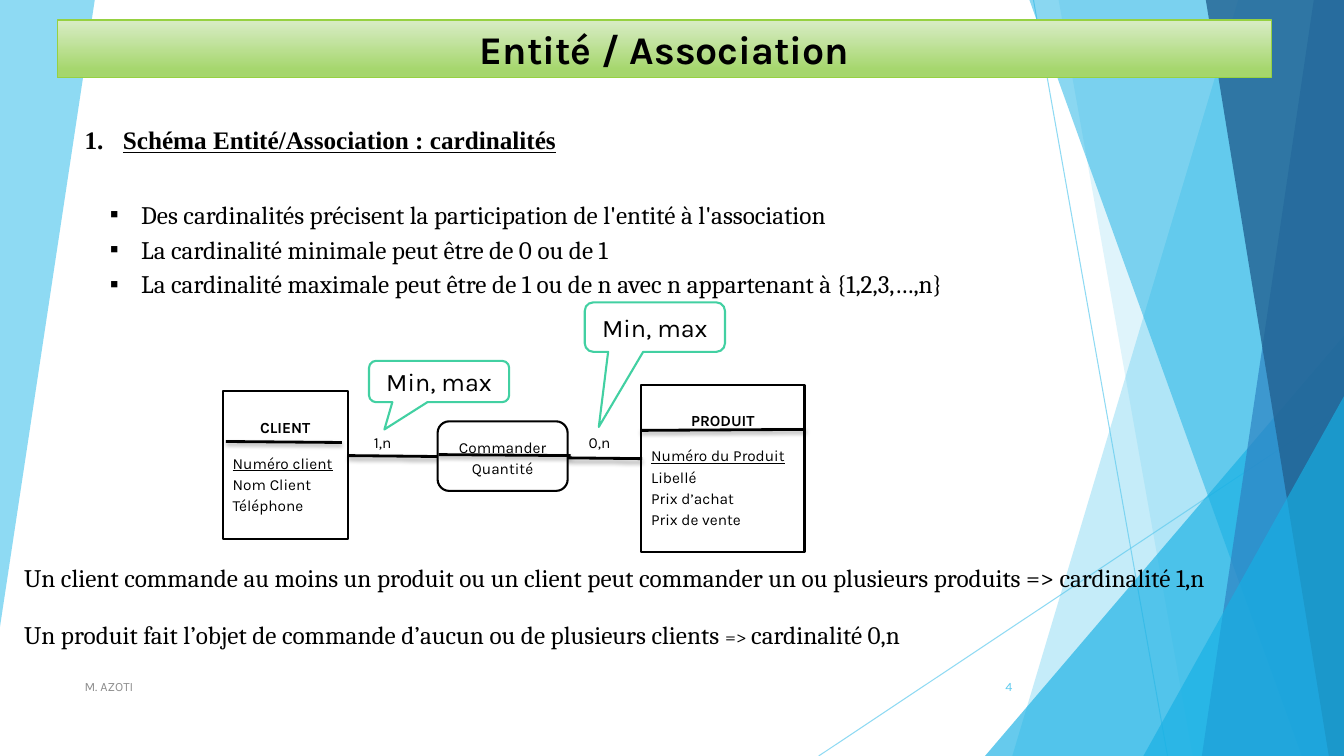
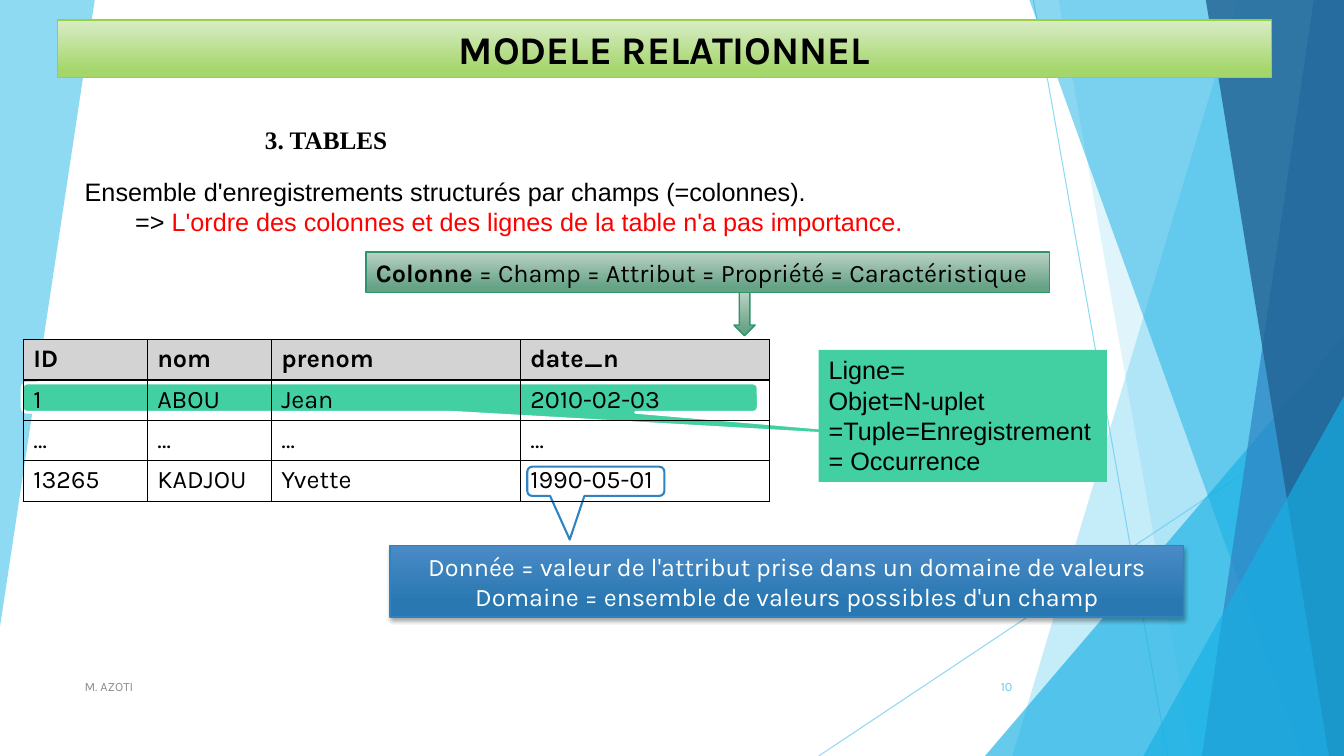
from lxml import etree
from pptx import Presentation
from pptx import util as u
from pptx.dml.color import RGBColor
from pptx.enum import shapes as es, text as et
from pptx.oxml.ns import qn

HUES = {
    "ink": "000000", "white": "FFFFFF", "red": "FF0000", "grey": "8C8C8C",
    "head": "D3D3D3", "sky": "5FCBEF", "cyan": "17B0E4", "blue": "2E83C3",
    "navy": "226292", "mint": "42D0A2", "lime": "96D141", "pine": "2E946B",
}
LIME = ("D8ECC5", "A5D66C", 0.88)
PINE = ("BAD1C4", "65A385", 0.88)
BLUE = ("4A8BC6", "2A78B2", 0.78)
WIDE, HIGH = 13.33, 7.5
KIND = es.MSO_SHAPE
LEFT, MID, RIGHT, JUST = (et.PP_ALIGN.LEFT, et.PP_ALIGN.CENTER,
                          et.PP_ALIGN.RIGHT, et.PP_ALIGN.JUSTIFY)


def rgb(hue):
    """Return the colour for a name or a hex string."""
    return RGBColor.from_string(HUES.get(hue, hue))


def inch(*nums):
    """Turn numbers into lengths."""
    return [u.Inches(n) for n in nums]


def node(top, tag, **atts):
    """Add an XML child with attributes."""
    return etree.SubElement(top, qn(tag), {k: str(v) for k, v in atts.items()})


def fade(item, part):
    """Make the only colour of a shape or line partly clear."""
    tint = item.element.spPr.find(".//" + qn("a:srgbClr"))
    node(tint, "a:alpha", val=part * 1000)


def shade(effect):
    """Put a soft drop shadow in an effect list."""
    drop = node(effect, "a:outerShdw", blurRad=u.Pt(3), dist=u.Pt(2),
                dir=5400000, rotWithShape=0)
    tint = node(drop, "a:srgbClr", val=HUES["ink"])
    node(tint, "a:alpha", val=35000)


def paint(item, fill=None, line=None, width=1):
    """Set fill (name or gradient) and outline, without a shadow."""
    if hasattr(item, "shadow"):
        item.shadow.inherit = False
    if isinstance(fill, tuple):
        item.fill.gradient()
        item.fill.gradient_angle = 270
        for stop, hue, pos in zip(item.fill.gradient_stops, fill, (0, fill[2])):
            stop.color.rgb, stop.position = rgb(hue), pos
    elif fill:
        item.fill.solid()
        item.fill.fore_color.rgb = rgb(fill)
    if line:
        item.line.color.rgb, item.line.width = rgb(line), u.Pt(width)
    else:
        item.line.fill.background()


def write(frame, rows, size=18, font="Karla", hue="ink", bold=False,
          align=LEFT, space=1.0, after=0, mid=False):
    """Fill a text frame; a row lists runs, each a string or (string, changes)."""
    frame.word_wrap = True
    frame.auto_size = et.MSO_AUTO_SIZE.NONE
    frame.vertical_anchor = et.MSO_ANCHOR.MIDDLE if mid else et.MSO_ANCHOR.TOP
    for i, row in enumerate(rows):
        para = frame.add_paragraph() if i else frame.paragraphs[0]
        para.alignment, para.line_spacing = align, space
        para.space_before, para.space_after = u.Pt(0), u.Pt(after)
        for part in row:
            word, diff = (part, {}) if isinstance(part, str) else part
            run = para.add_run()
            run.text = word
            run.font.name = font
            run.font.size = u.Pt(diff.get("size", size))
            run.font.bold = diff.get("bold", bold)
            run.font.underline = diff.get("line", False)
            run.font.color.rgb = rgb(diff.get("hue", hue))


def mark(para, tag, edge=0, hang=0, **atts):
    """Set the bullet and the indent of a paragraph."""
    props = para._p.get_or_add_pPr()
    props.set("marL", str(u.Inches(edge)))
    props.set("indent", str(u.Inches(-hang)))
    node(props, tag, **atts)


def label(slide, box, rows, **look):
    """Add a text box."""
    item = slide.shapes.add_textbox(*inch(*box))
    write(item.text_frame, rows, **look)
    return item


def block(slide, kind, box, fill, line=None, width=1, adj=()):
    """Add a preset shape."""
    item = slide.shapes.add_shape(kind, *inch(*box))
    for i, val in enumerate(adj):
        item.adjustments[i] = val
    paint(item, fill, line, width)
    return item


def rule(slide, ends, hue="ink", width=2.0, soft=True):
    """Add a straight line, with a drop shadow if soft."""
    item = slide.shapes.add_connector(es.MSO_CONNECTOR.STRAIGHT, *inch(*ends))
    item.line.color.rgb, item.line.width = rgb(hue), u.Pt(width)
    effect = node(item.element.spPr, "a:effectLst")
    if soft:
        shade(effect)
    return item


def facet(slide, dots, hue, part):
    """Add a clear polygon."""
    dots = [inch(*dot) for dot in dots]
    form = slide.shapes.build_freeform(*dots[0])
    form.add_line_segments(dots[1:], close=True)
    item = form.convert_to_shape()
    paint(item, hue)
    fade(item, part)


def band(slide, top, low, hue, part):
    """Add a facet from a slanted edge to the right side."""
    facet(slide, [(top, 0), (WIDE, 0), (WIDE, HIGH), (low, HIGH)], hue, part)


def peak(slide, left, top):
    """Add a right triangle in the lower right corner."""
    box = (left, top, WIDE - left, HIGH - top)
    fade(block(slide, KIND.ISOSCELES_TRIANGLE, box, "cyan", adj=[1]), 66)


def decor(slide, layout):
    """Draw the facets and move them to the layout."""
    facet(slide, [(0, 0), (0.94, 0), (0, 6.22)], "sky", 70)
    for ends in ((10.25, 0, 11.58, HIGH), (WIDE, 4.03, 8.12, HIGH)):
        fade(rule(slide, ends, "sky", 0.75, False), 70)
    band(slide, 12.28, 10.04, "sky", 36)
    band(slide, 10.5, 11.83, "sky", 20)
    peak(slide, 9.77, 3.33)
    band(slide, 10.21, 12.91, "cyan", 50)
    band(slide, 13.03, 11.92, "blue", 70)
    band(slide, 11.96, 13.18, "navy", 80)
    peak(slide, 11.34, 3.93)
    for item in list(slide.shapes):
        if not item.is_placeholder:
            layout.shapes.element.append(item.element)


def place(item, box):
    """Move a placeholder to a box."""
    item.left, item.top, item.width, item.height = inch(*box)


def frame(slide, name, page):
    """Set the title band, the footer and the page number."""
    title = slide.shapes.title
    place(title, (0.57, 0.2, 12.04, 0.57))
    paint(title, LIME, "lime")
    write(title.text_frame, [[name]], size=28, bold=True, align=MID)
    label(slide, (0.74, 6.61, 6.89, 0.4), [["M. AZOTI"]], size=9, hue="grey", mid=True)
    label(slide, (9.39, 6.61, 0.75, 0.4), [[page]], size=9, hue="sky",
          align=RIGHT, mid=True)


def topic(slide, box, name, line=False):
    """Add the section heading."""
    item = label(slide, box, [[(name, {"line": line})]], font="Times New Roman",
                 bold=True, align=JUST, space=1.15, after=5)
    item.text_frame.word_wrap = False
    item.text_frame.auto_size = et.MSO_AUTO_SIZE.SHAPE_TO_FIT_TEXT
    return item.text_frame.paragraphs[0]


def card(slide, box, name, key, *cols):
    """Draw an entity with its name, key and fields."""
    item = block(slide, KIND.RECTANGLE, box, "white", "ink", 1.5)
    text = item.text_frame
    rows = [[(name, {"bold": True})], [(key, {"line": True})]]
    write(text, rows + [[col] for col in cols], size=11, space=1.15, after=10, mid=True)
    text.paragraphs[0].alignment = MID
    for para in text.paragraphs[1:-1]:
        para.space_after = u.Pt(0)


def schema(slide, x, y):
    """Draw the two entities and their link from a top left corner."""
    card(slide, (x, y + 0.06, 1.24, 1.47), "CLIENT", "Numéro client",
         "Nom Client", "Téléphone")
    rule(slide, (x + 0.03, y + 0.56, x + 1.18, y + 0.57))
    card(slide, (x + 4.15, y, 1.62, 1.66), "PRODUIT", "Numéro du Produit",
         "Libellé", "Prix d’achat", "Prix de vente")
    rule(slide, (x + 1.24, y + 0.7, x + 4.16, y + 0.73))
    link = block(slide, KIND.FLOWCHART_ALTERNATE_PROCESS,
                 (x + 2.13, y + 0.36, 1.29, 0.69), "white", "ink", 1.5)
    write(link.text_frame, [["Commander"], ["Quantité"]], size=11, align=MID,
          space=1.15, mid=True)
    rule(slide, (x + 2.14, y + 0.69, x + 3.45, y + 0.7))
    rule(slide, (x + 4.15, y + 0.45, x + 5.78, y + 0.44))
    for left, word in ((1.4, "1,n"), (3.53, "0,n")):
        label(slide, (x + left, y + 0.4, 0.46, 0.48), [[word]], size=11, space=1.15)
    for left, top, high, adj in ((1.45, -0.24, 0.41, (-0.39, 1.16, 0.17)),
                                 (3.59, -0.82, 0.49, (-0.4, 2.02, 0.17))):
        tip = block(slide, KIND.ROUNDED_RECTANGULAR_CALLOUT,
                    (x + left, y + top, 1.39, high), "white", "mint", 1.5, adj)
        write(tip.text_frame, [["Min, max"]], align=MID, mid=True)


def entity(slide):
    """Build the slide on cardinalities."""
    frame(slide, "Entité / Association", "4")
    head = topic(slide, (0.74, 1.14, 5.01, 0.45),
                 "Schéma Entité/Association : cardinalités", True)
    mark(head, "a:buAutoNum", 0.38, 0.38, type="arabicPeriod")
    look = dict(font="Cambria", align=JUST, space=1.15)
    body = slide.placeholders[1]
    place(body, (0.99, 1.88, 11.4, 1.15))
    write(body.text_frame, [
        ["Des cardinalités précisent la participation de l'entité à l'association"],
        ["La cardinalité minimale peut être de 0 ou de 1"],
        ["La cardinalité maximale peut être de 1 ou de n avec n appartenant à {1,2,3,…,n}"],
    ], **look)
    for para in body.text_frame.paragraphs:
        mark(para, "a:buChar", 0.31, 0.31, char="▪")
    schema(slide, 2.21, 3.82)
    label(slide, (0.14, 5.48, 13.19, 0.42), [[
        "Un client commande au moins un produit ou un client peut commander "
        "un ou plusieurs produits => cardinalité 1,n"]], **look)
    label(slide, (0.14, 6.05, 12.05, 0.42), [[
        "Un produit fait l’objet de commande d’aucun ou de plusieurs clients ",
        ("=> ", {"size": 14}), "cardinalité 0,n"]], **look)


def grid(slide, x, y, cols, rows, high):
    """Add a ruled table with a grey bold head."""
    item = slide.shapes.add_table(len(rows), len(cols),
                                  *inch(x, y, sum(cols), high * len(rows)))
    table = item.table
    table.first_row = table.horz_banding = False
    for col, wide in zip(table.columns, cols):
        col.width = u.Inches(wide)
    for r, row in enumerate(rows):
        for c, word in enumerate(row):
            cell = table.cell(r, c)
            props = cell._tc.get_or_add_tcPr()
            for side in "LRTB":
                edge = node(props, "a:ln" + side, w=u.Pt(1))
                node(node(edge, "a:solidFill"), "a:srgbClr", val=HUES["ink"])
            if r:
                cell.fill.background()
            else:
                cell.fill.solid()
                cell.fill.fore_color.rgb = rgb("head")
            write(cell.text_frame, [[word]], bold=not r)
            cell.vertical_anchor = et.MSO_ANCHOR.TOP


def model(slide):
    """Build the slide on tables."""
    frame(slide, "MODELE RELATIONNEL", "10")
    call = KIND.ROUNDED_RECTANGULAR_CALLOUT
    block(slide, call, (0.22, 3.8, 7.3, 0.29), "mint", "white", 2, (0.85, 1.61, 0.17))
    block(slide, call, (5.23, 4.63, 1.36, 0.29), "white", "blue", 1.5,
          (-0.19, 1.99, 0.17))
    topic(slide, (2.53, 1.14, 1.43, 0.42), "3. TABLES")
    body = slide.placeholders[1]
    place(body, (0.74, 1.7, 10.47, 0.71))
    write(body.text_frame, [
        ["Ensemble d'enregistrements structurés par champs (=colonnes)."],
        ["=> ", ("L'ordre des colonnes et des lignes de la table n'a pas importance.",
                 {"hue": "red"})]], font="Arial")
    for para, edge in zip(body.text_frame.paragraphs, (0, 0.5)):
        mark(para, "a:buNone", edge)
    grid(slide, 0.23, 3.37, (1.23, 1.23, 2.47, 2.47), [
        ("ID", "nom", "prenom", "date_n"), ("1", "ABOU", "Jean", "2010-02-03"),
        ("…",) * 4, ("13265", "KADJOU", "Yvette", "1990-05-01")], 0.4)
    block(slide, KIND.DOWN_ARROW, (7.28, 2.9, 0.21, 0.43), PINE, "pine")
    field = block(slide, KIND.RECTANGLE, (3.63, 2.5, 6.78, 0.4), PINE, "pine")
    write(field.text_frame, [[("Colonne", {"bold": True}),
          " = Champ = Attribut = Propriété = Caractéristique"]])
    data = block(slide, KIND.RECTANGLE, (3.87, 5.41, 7.87, 0.71), BLUE, "blue")
    shade(data.element.spPr.find(qn("a:effectLst")))
    write(data.text_frame, [
        ["Donnée = valeur de l'attribut prise dans un domaine de valeurs"],
        ["Domaine = ensemble de valeurs possibles d'un champ"]],
        hue="white", align=MID, mid=True)
    line = block(slide, KIND.RECTANGLE, (8.12, 3.47, 2.86, 1.31), "mint")
    write(line.text_frame, [["Ligne="], ["Objet=N-uplet"],
          ["=Tuple=Enregistrement"], ["= Occurrence"]], font="Arial")


deck = Presentation()
deck.slide_width, deck.slide_height = inch(WIDE, HIGH)
base = deck.slide_layouts[1]
for i, build in enumerate((entity, model)):
    page = deck.slides.add_slide(base)
    if not i:
        decor(page, base)
    build(page)
deck.save("out.pptx")
